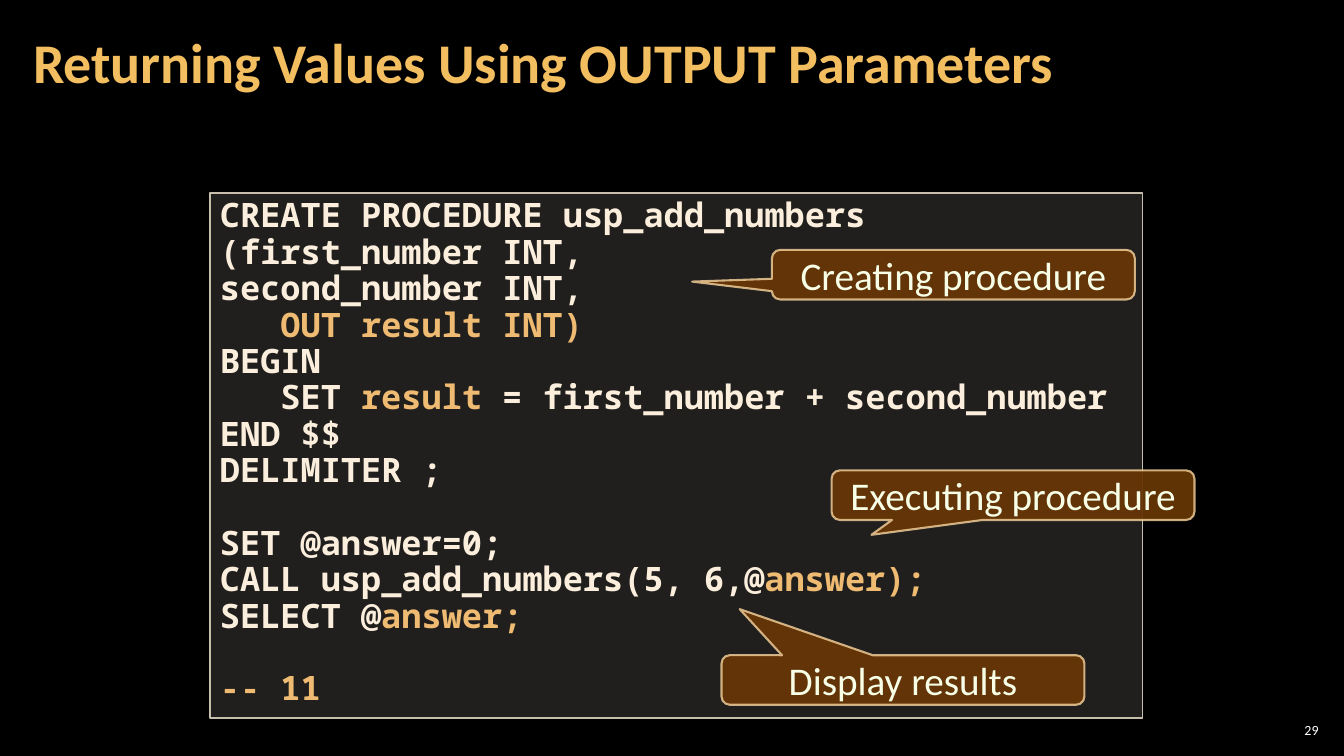
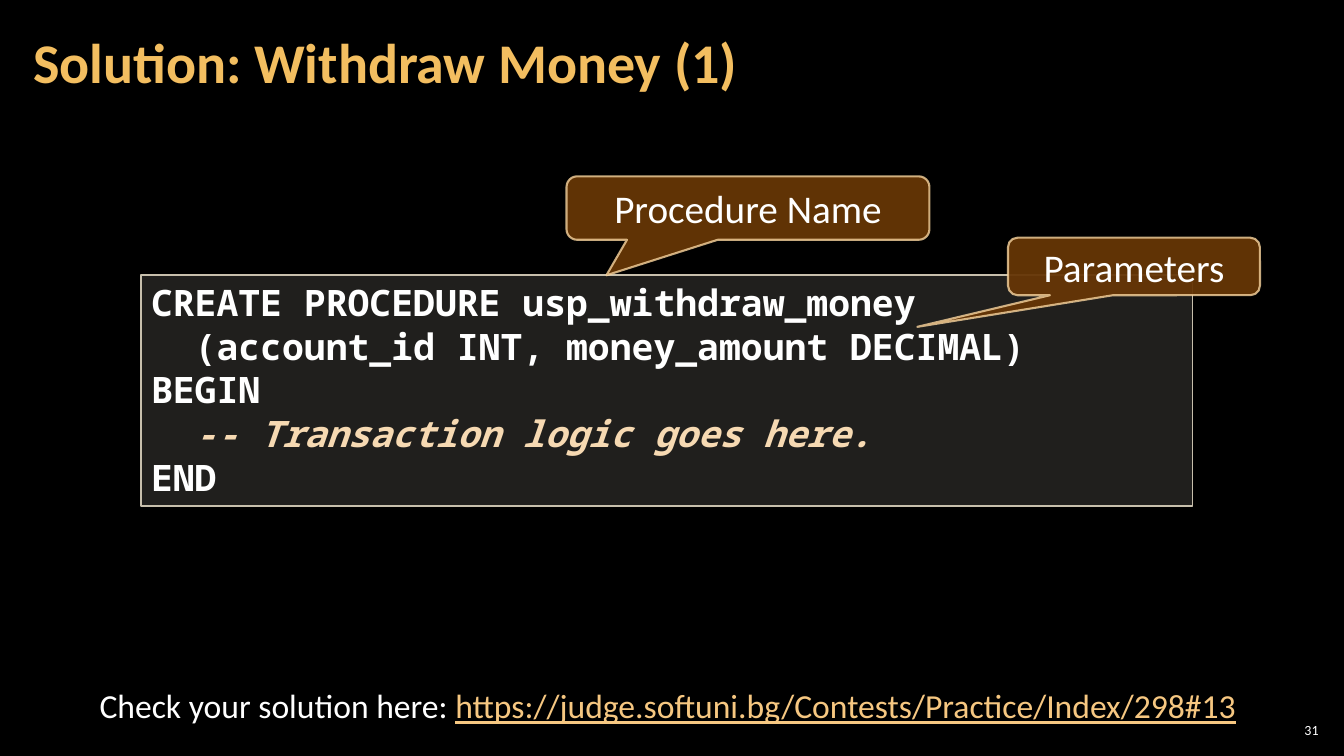
import pptx
import pptx.util
import pptx.dml.color
import pptx.enum.shapes
import pptx.enum.text
import pptx.oxml.ns
import lxml.etree

Pt = pptx.util.Pt
Kind = pptx.enum.shapes.MSO_SHAPE
Align = pptx.enum.text.PP_ALIGN
Anchor = pptx.enum.text.MSO_ANCHOR

# Shared look
SANS, MONO = "Calibri", "Noto Sans Mono"
BLACK, WHITE, GOLD = "000000", "FFFFFF", "F3BE60"
PANEL, EDGE = "D9D5C7", "C7BFAC"
BROWN, RIM = "663606", "F8D49E"
CREAM, AMBER, PEACH = "FBEEDC", "EFBB72", "F6D9B2"
MINT, LINK = "F7FFE7", "F6C781"

# Slide grid: 32 columns by 18 rows of square cells
COLS, ROWS = 32, 18
WIDE, HIGH = pptx.util.Inches(13.33), pptx.util.Inches(7.5)
TITLE = (0.5, 0.1, 25.13, 2.9)
NUMBER = (30.36, 17.14, 1.13, 0.5)


def place(box):
    """Turn columns and rows into lengths."""
    x, y, w, h = box
    return [round(n) for n in (x * WIDE / COLS, y * HIGH / ROWS,
                               w * WIDE / COLS, h * HIGH / ROWS)]


def paint(fill, color, alpha=100):
    fill.solid()
    fill.fore_color.rgb = pptx.dml.color.RGBColor.from_string(color)
    if alpha < 100:
        tint = fill._xPr.find(".//" + pptx.oxml.ns.qn("a:srgbClr"))
        node = lxml.etree.SubElement(tint, pptx.oxml.ns.qn("a:alpha"))
        node.set("val", str(alpha * 1000))


def style(font, size, color=None, face=SANS, bold=False):
    font.size, font.name, font.bold = Pt(size), face, bold
    if color:
        paint(font.fill, color)


def frame(shape, anchor, pad=(0.1, 0.05)):
    text = shape.text_frame
    text.word_wrap = True
    text.vertical_anchor = anchor
    side, edge = map(pptx.util.Inches, pad)
    text.margin_left = text.margin_right = side
    text.margin_top = text.margin_bottom = edge
    return text


def panel(slide, kind, box, fill, line):
    """Draw a filled shape; fill and line are (colour, opacity)."""
    shape = slide.shapes.add_shape(kind, *place(box))
    shape.shadow.inherit = False
    paint(shape.fill, *fill)
    paint(shape.line.fill, *line)
    return shape


def label(slide, box, text, size, align, pad=(0.1, 0.05), anchor=Anchor.MIDDLE):
    area = frame(slide.shapes.add_textbox(*place(box)), anchor, pad)
    para = area.paragraphs[0]
    para.text, para.alignment = text, align
    style(para.font, size, WHITE)
    return para


def start(deck, title, number):
    """Add a slide with its title and number."""
    slide = deck.slides.add_slide(deck.slide_layouts[5])
    head = slide.shapes.title
    head.left, head.top, head.width, head.height = place(TITLE)
    para = frame(head, Anchor.MIDDLE, (0.12, 0.04)).paragraphs[0]
    para.text, para.alignment, para.line_spacing = title, Align.LEFT, 0.9
    style(para.font, 40, GOLD, bold=True)
    label(slide, NUMBER, number, 10, Align.RIGHT, (0.04, 0.04))
    return slide


def code(slide, box, lines, size, plain, accent, pitch=None, slant=False):
    """Show code; each bar in a line switches between plain and accent."""
    shape = panel(slide, Kind.RECTANGLE, box, (PANEL, 15), (EDGE,))
    shape.line.width = Pt(1)
    text = frame(shape, Anchor.TOP)
    para, gap = text.paragraphs[0], False
    for row, line in enumerate(lines):
        if not line:
            gap = True
            continue
        if row:
            para = text.add_paragraph()
        para.alignment = Align.LEFT
        if pitch:
            para.line_spacing = Pt(pitch)
        if gap:
            para.space_before = Pt(pitch)
            gap = False
        style(para.font, size, face=MONO, bold=True)
        for turn, part in enumerate(line.split("|")):
            if part:
                run = para.add_run()
                run.text = part
                paint(run.font.fill, accent if turn % 2 else plain)
                if slant and turn % 2:
                    run.font.italic = True


def callout(slide, box, text, tip, color):
    """Draw a speech box; tip is a share of the box, from its centre."""
    shape = panel(slide, Kind.ROUNDED_RECTANGULAR_CALLOUT, box,
                  (BROWN, 95), (RIM, 80))
    shape.line.width = Pt(1.5)
    for i, share in enumerate((*tip, 0.167)):
        shape.adjustments[i] = share
    para = frame(shape, Anchor.MIDDLE).paragraphs[0]
    para.text, para.alignment = text, Align.CENTER
    style(para.font, 28, color)


def output(deck):
    slide = start(deck, "Returning Values Using OUTPUT Parameters", "29")
    code(slide, (5, 4.6, 22.2, 12.5), [
        "CREATE PROCEDURE usp_add_numbers",
        "(first_number INT,",
        "second_number INT,",
        "   |OUT result INT)",
        "BEGIN",
        "   SET |result |= first_number + second_number",
        "END $$",
        "DELIMITER ;",
        "",
        "SET @answer=0;",
        "CALL usp_add_numbers(5, 6,@|answer);",
        "SELECT @|answer;",
        "",
        "|-- 11",
    ], 24, CREAM, AMBER, pitch=26)
    for x, y, text, tip in (
            (18.38, 5.95, "Creating procedure", (-0.72, 0.14)),
            (19.8, 11.2, "Executing procedure", (-0.39, 0.8)),
            (17.18, 15.6, "Display results", (-0.45, -1.43))):
        callout(slide, (x, y, 8.64, 1.18), text, tip, MINT)


def money(deck):
    slide = start(deck, "Solution: Withdraw Money (1)", "31")
    code(slide, (3.36, 6.55, 25.03, 5.5), [
        "CREATE PROCEDURE usp_withdraw_money",
        "  (account_id INT, money_amount DECIMAL)",
        "BEGIN",
        "|  -- Transaction logic goes here.",
        "END",
    ], 26, WHITE, PEACH, slant=True)
    # Link line
    para = label(slide, (2, 16.2, 27.8, 1.2), "Check your solution here: ",
                 24, Align.CENTER, anchor=Anchor.TOP)
    run = para.add_run()
    run.text = "https://judge.softuni.bg/Contests/Practice/Index/298#13"
    run.font.underline = True
    paint(run.font.fill, LINK)
    # Callouts
    callout(slide, (13.49, 4.2, 8.64, 1.51), "Procedure Name",
            (-0.39, 1.06), WHITE)
    callout(slide, (24, 5.66, 6, 1.37), "Parameters", (-0.86, 1.05), WHITE)


def main():
    deck = pptx.Presentation()
    deck.slide_width, deck.slide_height = WIDE, HIGH
    paint(deck.slide_master.background.fill, BLACK)
    output(deck)
    money(deck)
    deck.save("out.pptx")


if __name__ == "__main__":
    main()
